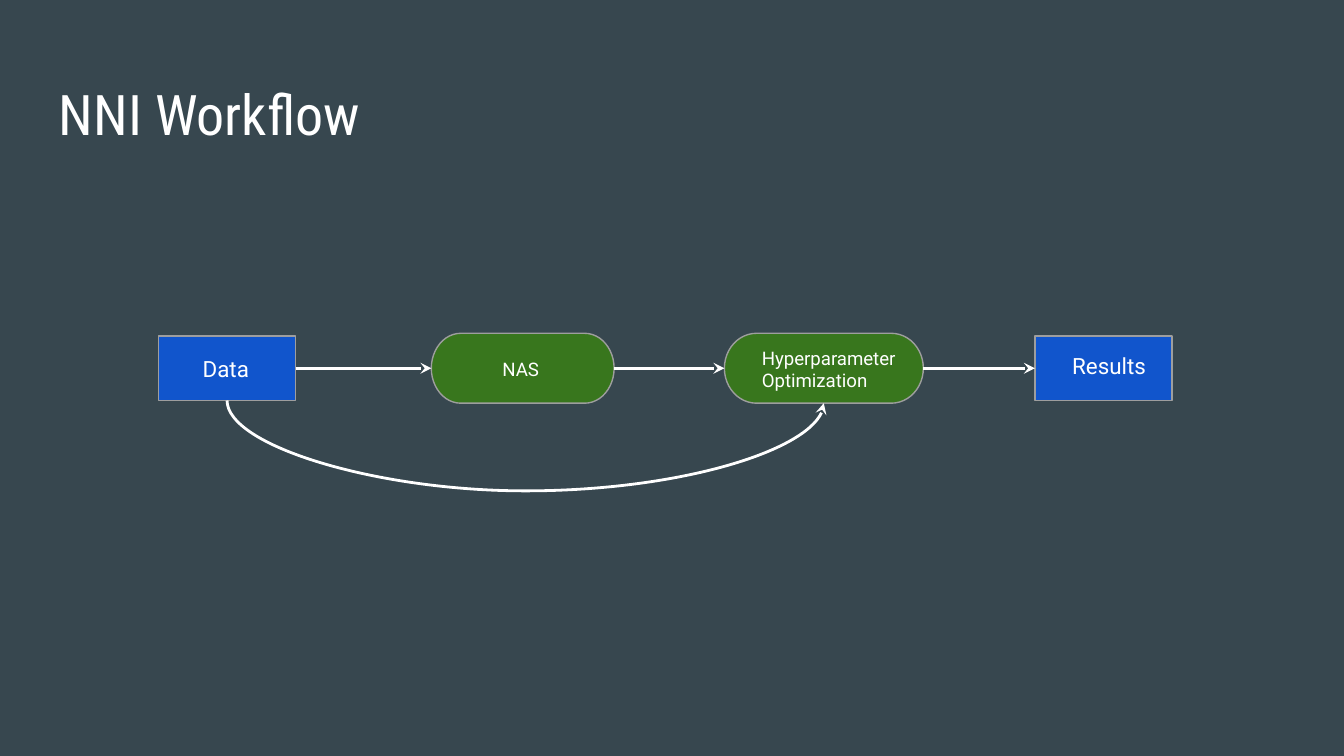
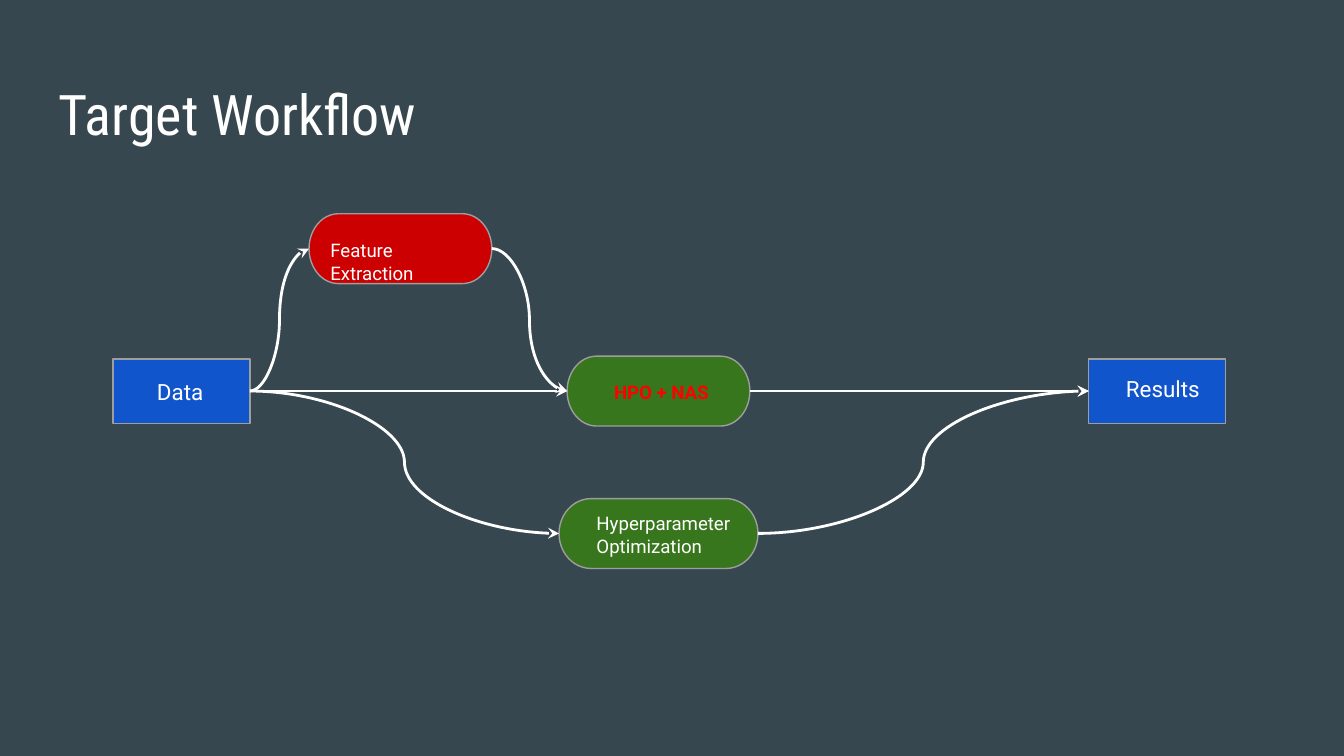
"""Build two workflow diagrams with shared node, label and arrow styles."""
from lxml import etree
from pptx import Presentation
from pptx import util as u
from pptx.dml.color import RGBColor
from pptx.enum import shapes
from pptx.oxml import ns

BACKGROUND = RGBColor(0x37, 0x47, 0x4F)
WHITE = RGBColor(0xFF, 0xFF, 0xFF)
GRAY = RGBColor(0x9E, 0x9E, 0x9E)
BLUE = RGBColor(0x11, 0x55, 0xCC)
GREEN = RGBColor(0x38, 0x76, 0x1D)
RED = RGBColor(0xCC, 0x00, 0x00)
BRIGHT_RED = RGBColor(0xFF, 0x00, 0x00)

BODY_FONT = "Roboto"
TITLE_FONT = "Roboto Condensed"
RECTANGLE = shapes.MSO_SHAPE.RECTANGLE
TERMINATOR = shapes.MSO_SHAPE.FLOWCHART_TERMINATOR
STRAIGHT = shapes.MSO_CONNECTOR.STRAIGHT
CURVE = shapes.MSO_CONNECTOR.CURVE
LEFT, BOTTOM, RIGHT = 1, 2, 3


def add_text(slide, words, left, top, width, height, size,
             font=BODY_FONT, color=WHITE, bold=False):
    """Add a wrapped text box with even insets."""
    box = slide.shapes.add_textbox(*map(u.Inches, (left, top, width, height)))
    frame = box.text_frame
    frame.word_wrap = True
    frame.margin_left = frame.margin_right = u.Inches(0.1)
    frame.margin_top = frame.margin_bottom = u.Inches(0.1)
    paragraph = frame.paragraphs[0]
    paragraph.text = words
    paragraph.font.name = font
    paragraph.font.size = u.Pt(size)
    paragraph.font.color.rgb = color
    paragraph.font.bold = bold


def add_slide(presentation, title):
    """Add a blank slide with the shared background and title."""
    slide = presentation.slides.add_slide(presentation.slide_layouts[6])
    slide.background.fill.solid()
    slide.background.fill.fore_color.rgb = BACKGROUND
    add_text(slide, title, 0.34, 0.49, 9.32, 0.63, 30, TITLE_FONT)
    return slide


def add_node(slide, preset, left, middle, width, height, fill):
    """Add an outlined shape centred vertically on the given height."""
    shape = slide.shapes.add_shape(
        preset, *map(u.Inches, (left, middle - height / 2, width, height)))
    shape.shadow.inherit = False
    shape.fill.solid()
    shape.fill.fore_color.rgb = fill
    shape.line.color.rgb = GRAY
    shape.line.width = u.Pt(0.75)
    return shape


def add_data(slide, left, middle):
    """Add the data box."""
    node = add_node(slide, RECTANGLE, left, middle, 1.02, 0.48, BLUE)
    add_text(slide, "Data", left + 0.23, middle - 0.2, 0.7, 0.41, 12)
    return node


def add_results(slide, left, middle):
    """Add the results box."""
    node = add_node(slide, RECTANGLE, left, middle, 1.02, 0.48, BLUE)
    add_text(slide, "Results", left + 0.18, middle - 0.22, 0.84, 0.31, 12)
    return node


def add_step(slide, words, left, middle, indent, label_width, drop=0.1,
             width=1.36, fill=GREEN, color=WHITE, bold=False):
    """Add a rounded step with its label set in from the top left."""
    node = add_node(slide, TERMINATOR, left, middle, width, 0.52, fill)
    add_text(slide, words, left + indent, middle - 0.26 + drop,
             label_width, 0.36, 10, color=color, bold=bold)
    return node


def add_optimization(slide, left, middle, label_width):
    """Add the hyperparameter optimization step."""
    return add_step(slide, "Hyperparameter Optimization", left, middle, 0.18,
                    label_width, drop=0, width=1.48)


def add_arrow(slide, source, target, kind=STRAIGHT,
              source_site=RIGHT, target_site=LEFT):
    """Join two nodes with a white arrow."""
    arrow = slide.shapes.add_connector(kind, 0, 0, 0, 0)
    arrow.begin_connect(source, source_site)
    arrow.end_connect(target, target_site)
    arrow.line.color.rgb = WHITE
    arrow.line.width = u.Pt(1.5)
    etree.SubElement(arrow.line._get_or_add_ln(), ns.qn("a:tailEnd"),
                     type="stealth")
    etree.SubElement(arrow._element.spPr, ns.qn("a:effectLst"))
    return arrow


def add_loop_arrow(slide, source, target, depth):
    """Join the bottoms of two nodes with an arc of the given depth."""
    arrow = add_arrow(slide, source, target, CURVE, BOTTOM, BOTTOM)
    start_x, start_y = arrow.begin_x, arrow.begin_y
    span, rise = arrow.end_x - start_x, arrow.end_y - start_y
    arrow.left = start_x + (span - rise) // 2
    arrow.top = start_y + (rise - span) // 2
    arrow.width, arrow.height = rise, span
    properties = arrow._element.spPr
    frame = properties.find(ns.qn("a:xfrm"))
    frame.set("rot", str(270 * 60000))
    frame.set("flipH", "1")
    geometry = properties.find(ns.qn("a:prstGeom"))
    adjustments = geometry.find(ns.qn("a:avLst"))
    if adjustments is None:
        adjustments = etree.SubElement(geometry, ns.qn("a:avLst"))
    bend = round(u.Inches(depth) / rise * 100000)
    etree.SubElement(adjustments, ns.qn("a:gd"), name="adj1",
                     fmla=f"val {bend}")


def build_nni_workflow(presentation):
    """Build the linear workflow with a bypass from the data."""
    slide = add_slide(presentation, "NNI Workflow")
    middle = 2.74
    data = add_data(slide, 1.18, middle)
    search = add_step(slide, "NAS", 3.21, middle, 0.43, 0.57)
    optimization = add_optimization(slide, 5.39, middle, 1.74)
    results = add_results(slide, 7.7, middle)
    for source, target in ((data, search), (search, optimization),
                           (optimization, results)):
        add_arrow(slide, source, target)
    add_loop_arrow(slide, data, optimization, 0.67)


def build_target_workflow(presentation):
    """Build the branching workflow on three evenly spaced rows."""
    slide = add_slide(presentation, "Target Workflow")
    upper, middle, lower = (1.85 + row * 1.06 for row in range(3))
    data = add_data(slide, 0.84, middle)
    results = add_results(slide, 8.1, middle)
    combined = add_step(slide, "HPO + NAS", 4.22, middle, 0.25, 1.02,
                        color=BRIGHT_RED, bold=True)
    extraction = add_step(slide, "Feature Extraction", 2.3, upper, 0.06, 1.29,
                          drop=0.09, fill=RED)
    optimization = add_optimization(slide, 4.16, lower, 1.2)
    for source, target, kind in ((data, combined, STRAIGHT),
                                 (combined, results, STRAIGHT),
                                 (data, extraction, CURVE),
                                 (extraction, combined, CURVE),
                                 (data, optimization, CURVE),
                                 (optimization, results, CURVE)):
        add_arrow(slide, source, target, kind)


def main():
    """Build and save the presentation."""
    presentation = Presentation()
    presentation.slide_width = u.Inches(10)
    presentation.slide_height = presentation.slide_width * 9 // 16
    build_nni_workflow(presentation)
    build_target_workflow(presentation)
    presentation.save("out.pptx")


if __name__ == "__main__":
    main()
